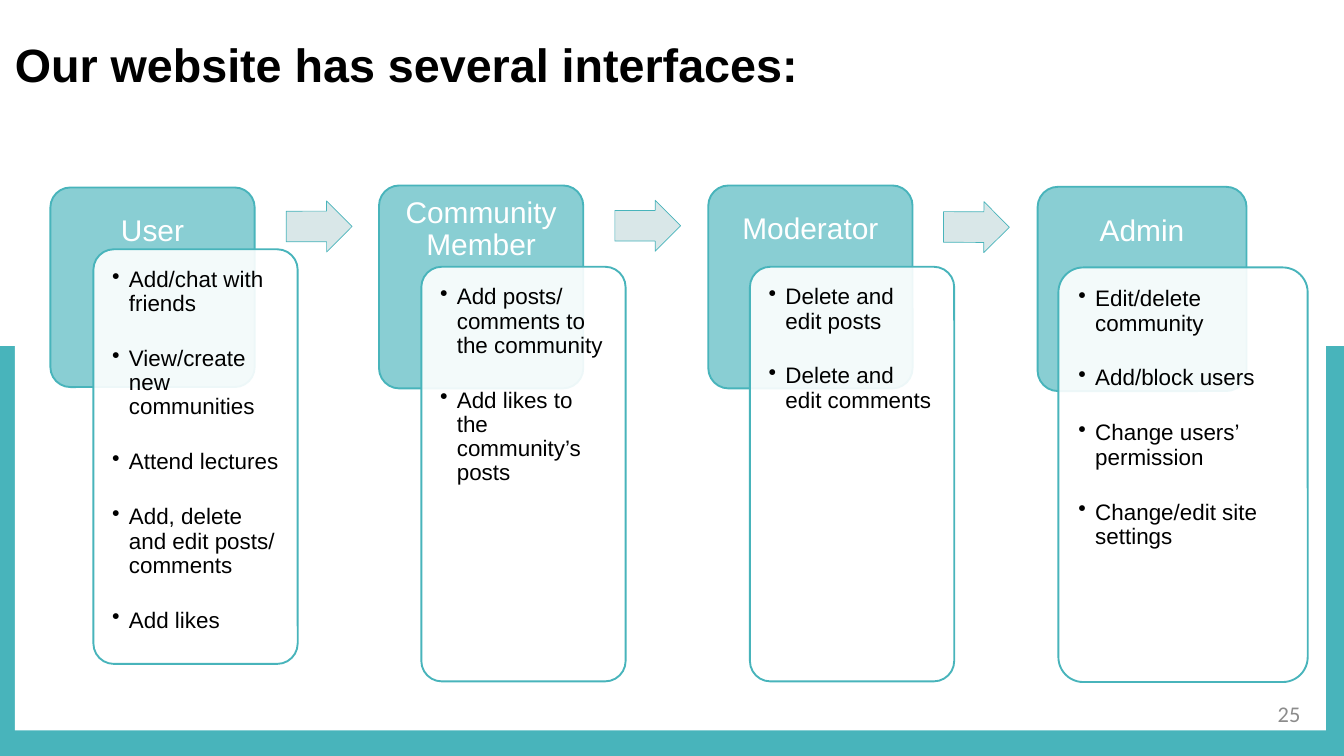
from lxml import etree
from pptx import Presentation
from pptx.dml.color import RGBColor
from pptx.enum.shapes import MSO_SHAPE
from pptx.enum.text import MSO_ANCHOR, MSO_AUTO_SIZE, PP_ALIGN
from pptx.oxml.ns import qn
from pptx.util import Inches, Pt

RECT, ROUND = MSO_SHAPE.RECTANGLE, MSO_SHAPE.ROUNDED_RECTANGLE
ARROW = MSO_SHAPE.RIGHT_ARROW
LEFT, CENTER, RIGHT = PP_ALIGN.LEFT, PP_ALIGN.CENTER, PP_ALIGN.RIGHT
TOP, MIDDLE = MSO_ANCHOR.TOP, MSO_ANCHOR.MIDDLE

TEAL, LIGHT_TEAL, PALE = "48B4BB", "89CED3", "D9E7E8"
WHITE, BLACK, GRAY = "FFFFFF", "000000", "8C8C8C"

# Content: role, its header box, its card box (left, top, width, height), abilities
TITLE = "Our website has several interfaces:"
PAGE = "25"
ROLES = [
    ("User", (0.75, 2.79, 3.04, 2.97), (1.39, 3.71, 3.04, 6.17),
     ["Add/chat with friends", "View/create new communities", "Attend lectures",
      "Add, delete and edit posts/ comments", "Add likes"]),
    ("Community Member", (5.64, 2.76, 3.04, 3.02), (6.27, 3.97, 3.04, 6.17),
     ["Add posts/ comments to the community",
      "Add likes to the community’s posts"]),
    ("Moderator", (10.54, 2.76, 3.04, 3.02), (11.16, 3.97, 3.04, 6.17),
     ["Delete and edit posts", "Delete and edit comments"]),
    ("Admin", (15.44, 2.78, 3.11, 3.04), (15.75, 3.98, 3.71, 6.17),
     ["Edit/delete community", "Add/block users", "Change users’ permission",
      "Change/edit site settings"]),
]
ARROWS = [(4.26, 2.99, -0.1), (9.15, 2.98, 0), (14.04, 3, 0.3)]  # left, top, rotation
ARROW_SIZE = (0.98, 0.76)
HEADER_TEXT_SHARE = 0.4  # part of the header that its name may fill
CORNER = 0.1
CORNER_INSET = 0.29 * CORNER  # keeps card text clear of the round corners


def color(value):
    return RGBColor.from_string(value)


def add_block(kind, box, fill, line=None, width=0, opacity=100):
    block = slide.shapes.add_shape(kind, *map(Inches, box))
    block.shadow.inherit = False
    block.fill.solid()
    block.fill.fore_color.rgb = color(fill)
    if opacity < 100:
        rgb = block.fill._xPr.find(".//" + qn("a:srgbClr"))
        etree.SubElement(rgb, qn("a:alpha")).set("val", str(opacity * 1000))
    if line:
        block.line.color.rgb = color(line)
        block.line.width = Pt(width)
    else:
        block.line.fill.background()
    if kind == ROUND:
        block.adjustments[0] = CORNER
    return block


def set_frame(frame, insets, anchor):
    frame.word_wrap = True
    frame.auto_size = MSO_AUTO_SIZE.NONE
    frame.vertical_anchor = anchor
    (frame.margin_left, frame.margin_top,
     frame.margin_right, frame.margin_bottom) = map(Inches, insets)


def style(paragraph, size, ink, align=LEFT, spacing=None, font="Arial", bold=False):
    paragraph.alignment = align
    paragraph.line_spacing = spacing
    paragraph.font.name = font
    paragraph.font.size = Pt(size)
    paragraph.font.bold = bold
    paragraph.font.color.rgb = color(ink)


def add_text(box, lines, insets, anchor, bullets=False, gap=0, **look):
    frame = slide.shapes.add_textbox(*map(Inches, box)).text_frame
    set_frame(frame, insets, anchor)
    for i, line in enumerate(lines):
        paragraph = frame.add_paragraph() if i else frame.paragraphs[0]
        paragraph.text = line
        if bullets:
            props = paragraph._p.get_or_add_pPr()
            props.set("marL", str(Inches(0.25)))
            props.set("indent", str(-Inches(0.25)))
            etree.SubElement(props, qn("a:buChar")).set("char", "•")
        if gap and i < len(lines) - 1:
            paragraph.space_after = Pt(gap)
        style(paragraph, **look)


prs = Presentation()
prs.slide_width, prs.slide_height = Inches(20), Inches(11.25)
slide = prs.slides.add_slide(prs.slide_layouts[5])

# Teal frame around the white panel
add_block(RECT, (0, 5.15, 20, 6.1), TEAL)
add_block(RECT, (0.22, 1.49, 19.51, 9.38), WHITE)

# Title
title = slide.shapes.title
title.left, title.top, title.width, title.height = map(Inches, (0.22, 0.39, 12.92, 0.92))
title.text = TITLE
set_frame(title.text_frame, (0, 0, 0, 0), TOP)
style(title.text_frame.paragraphs[0], 50, BLACK, spacing=Pt(70), bold=True)

# Roles: header behind, card with abilities in front
for role, header, card, abilities in ROLES:
    left, top, width, height = header
    add_block(ROUND, header, LIGHT_TEAL, TEAL, 2)
    add_text((left, top, width, height * HEADER_TEXT_SHARE), [role],
             (0.25, 0.25, 0.25, 0.13), MIDDLE,
             size=32, ink=WHITE, align=CENTER, spacing=0.9)

    left, top, width, height = card
    inset = CORNER_INSET * width
    add_block(ROUND, card, WHITE, TEAL, 2, opacity=90)
    add_text((left + inset, top + inset, width - 2 * inset, height - 2 * inset),
             abilities, (0.19, 0.19, 0.19, 0.19), TOP, bullets=True, gap=33,
             size=24, ink=BLACK, spacing=0.9)

# Arrows between the roles
for left, top, rotation in ARROWS:
    arrow = add_block(ARROW, (left, top, *ARROW_SIZE), PALE, TEAL, 0.75)
    arrow.adjustments[0] = 0.6
    arrow.rotation = rotation

# Page number
add_text((17.12, 10.42, 2.33, 0.4), [PAGE], (0.1, 0.05, 0.1, 0.05), MIDDLE,
         size=24, ink=GRAY, align=RIGHT, font="Calibri")

prs.save("out.pptx")
